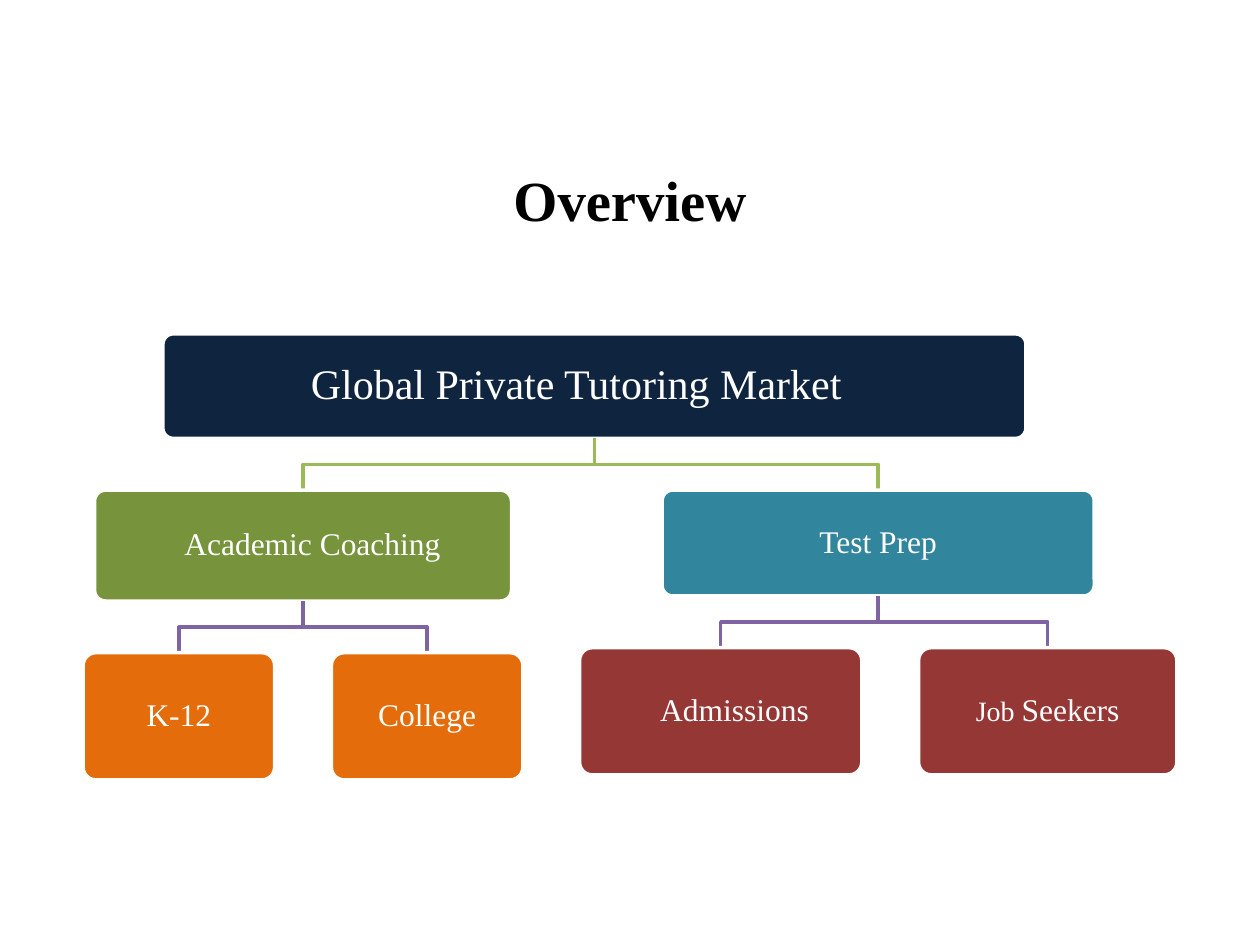
import pptx
import pptx.util
import pptx.dml.color
import pptx.enum.shapes
import pptx.enum.text

Inches, Pt = pptx.util.Inches, pptx.util.Pt
RGB = pptx.dml.color.RGBColor.from_string
ALIGN = pptx.enum.text.PP_ALIGN
MIDDLE = pptx.enum.text.MSO_ANCHOR.MIDDLE

# Content: each box has its text runs (text, size role), style, size and children
TITLE = "Overview"
TREE = dict(
    runs=[("Global Private Tutoring Market\t", "root")], fill="navy", size=(6.85, 0.83),
    children=[
        dict(runs=[("Academic Coaching\t", "node")], fill="green", size=(3.31, 0.88),
             align=ALIGN.RIGHT, children=[
                 dict(runs=[("K-12", "node")], fill="orange", size=(1.52, 1.01)),
                 dict(runs=[("College", "node")], fill="orange", size=(1.52, 1.01))]),
        dict(runs=[("Test Prep", "node")], fill="teal", size=(3.43, 0.84), children=[
            dict(runs=[("Admissions", "node"), ("\t", "small")], fill="red",
                 size=(2.24, 1.01), align=ALIGN.RIGHT),
            dict(runs=[("Job ", "small"), ("Seekers", "node")], fill="red",
                 size=(2.05, 1.01))]),
    ])

THEME = dict(
    font="Times New Roman",
    sizes=dict(title=32.4, root=24, node=18, small=16),
    colors=dict(navy="0F243E", green="77933C", teal="31859C", orange="E46C0A",
                red="953735", white="FFFFFF", black="000000"),
    links=["9BBB59", "8064A2"],  # by level of the parent
    line=2)
LEFT, TOP, GAP_X, GAP_Y = 0.66, 2.65, 0.45, 0.41


def color(name):
    return RGB(THEME["colors"][name])


def place(node, left, top):
    """Set leaves side by side and centre parents over them; return the next left."""
    width, height = node["size"]
    node["top"] = top
    children = node.get("children", [])
    if not children:
        node["left"] = left
        return left + width + GAP_X
    for child in children:
        left = place(child, left, top + height + GAP_Y)
    first, last = children[0], children[-1]
    node["left"] = (first["left"] + last["left"] + last["size"][0] - width) / 2
    return left


def center(node):
    return node["left"] + node["size"][0] / 2


def draw_box(s, node):
    box = s.shapes.add_shape(pptx.enum.shapes.MSO_SHAPE.ROUNDED_RECTANGLE,
                             *map(Inches, (node["left"], node["top"], *node["size"])))
    box.adjustments[0] = 0.1
    box.shadow.inherit = False
    box.fill.solid()
    box.fill.fore_color.rgb = color(node["fill"])
    box.line.color.rgb = color("white")
    box.line.width = Pt(THEME["line"])
    tf = box.text_frame
    tf.word_wrap = True
    tf.vertical_anchor = MIDDLE
    inset = Inches(0.1 if node is TREE else 0.07)
    tf.margin_left = tf.margin_right = tf.margin_top = tf.margin_bottom = inset
    p = tf.paragraphs[0]
    p.alignment = node.get("align", ALIGN.CENTER)
    p.line_spacing = 0.9
    p.font.name = THEME["font"]
    p.font.color.rgb = color("white")
    for text, role in node["runs"]:
        r = p.add_run()
        r.text = text
        r.font.size = Pt(THEME["sizes"][role])


def draw_link(s, parent, child, level):
    x1, x2 = center(parent), center(child)
    y1, y2 = parent["top"] + parent["size"][1], child["top"]
    middle = (y1 + y2) / 2
    builder = s.shapes.build_freeform(Inches(x1), Inches(y1))
    builder.add_line_segments([(Inches(x), Inches(y)) for x, y in
                               ((x1, middle), (x2, middle), (x2, y2))], close=False)
    link = builder.convert_to_shape()
    link.shadow.inherit = False
    link.fill.background()
    link.line.color.rgb = RGB(THEME["links"][level])
    link.line.width = Pt(THEME["line"])


def draw_tree(s, node, level=0):
    draw_box(s, node)
    for child in node.get("children", []):
        draw_link(s, node, child, level)
        draw_tree(s, child, level + 1)


def main():
    prs = pptx.Presentation()
    prs.slide_width, prs.slide_height = Inches(10), Inches(7.5)
    s = prs.slides.add_slide(prs.slide_layouts[5])

    # Title
    title = s.shapes.title
    title.left, title.top, title.width, title.height = map(Inches, (0.66, 1.24, 8.68, 0.67))
    title.text_frame.text = TITLE
    title.text_frame.vertical_anchor = MIDDLE
    p = title.text_frame.paragraphs[0]
    p.alignment = ALIGN.CENTER
    p.font.name = THEME["font"]
    p.font.size = Pt(THEME["sizes"]["title"])
    p.font.bold = True
    p.font.color.rgb = color("black")

    # Market tree
    place(TREE, LEFT, TOP)
    draw_tree(s, TREE)
    prs.save("out.pptx")


if __name__ == "__main__":
    main()
